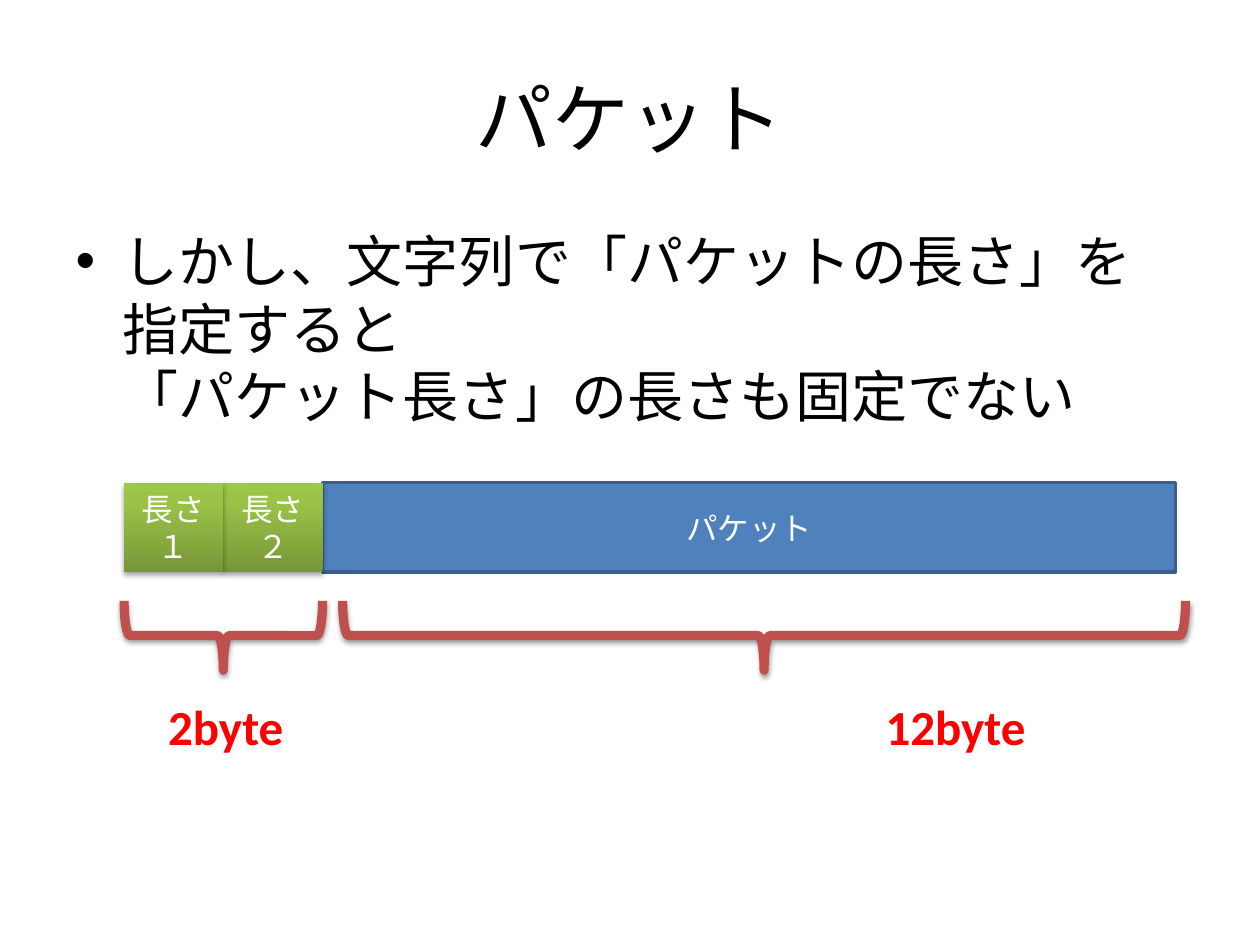
from lxml import etree
from pptx import Presentation
from pptx.dml.color import RGBColor
from pptx.enum.shapes import MSO_SHAPE
from pptx.enum.text import MSO_ANCHOR, PP_ALIGN
from pptx.oxml.ns import qn
from pptx.util import Pt

RECTANGLE = MSO_SHAPE.RECTANGLE
BRACE = MSO_SHAPE.RIGHT_BRACE
CENTER = PP_ALIGN.CENTER
LEFT = PP_ALIGN.LEFT
MIDDLE = MSO_ANCHOR.MIDDLE
TOP = MSO_ANCHOR.TOP
FONT = "Calibri"
GREEN_STOPS = [(0, "779737"), (80, "9BC348"), (100, "9DC746")]
BAR_TOP, BAR_HEIGHT = 275.8, 51.2
LENGTH_LEFT, LENGTH_WIDTH = 70.6, 56.9


def color(value):
    return RGBColor.from_string(value)


def place(shape, left, top, width, height):
    shape.left, shape.top = Pt(left), Pt(top)
    shape.width, shape.height = Pt(width), Pt(height)


def write(shape, text, size, text_color, alignment=CENTER, anchor=MIDDLE, bold=False):
    frame = shape.text_frame
    frame.text = text
    frame.word_wrap = True
    frame.vertical_anchor = anchor
    for paragraph in frame.paragraphs:
        paragraph.alignment = alignment
        for run in paragraph.runs:
            run.font.name = FONT
            run.font.size = Pt(size)
            run.font.bold = bold
            run.font.color.rgb = color(text_color)


def add_color(parent, value, alpha=100):
    element = etree.SubElement(parent, qn("a:srgbClr"), val=value)
    if alpha < 100:
        etree.SubElement(element, qn("a:alpha"), val=str(alpha * 1000))


def add_shadow(shape, alpha, distance):
    effects = shape._element.spPr.find(qn("a:effectLst"))
    shadow = etree.SubElement(
        effects, qn("a:outerShdw"), blurRad=str(Pt(3.1)), dist=str(Pt(distance)),
        dir="5400000", rotWithShape="0")
    add_color(shadow, "000000", alpha)


def set_gradient(shape, stops):
    shape.fill.gradient()
    shape.fill.gradient_angle = 90
    stop_list = shape._element.spPr.find(qn("a:gradFill")).find(qn("a:gsLst"))
    for stop in list(stop_list):
        stop_list.remove(stop)
    for position, value in stops:
        stop = etree.SubElement(stop_list, qn("a:gs"), pos=str(position * 1000))
        add_color(stop, value)


def add_box(slide, left, width, text):
    shape = slide.shapes.add_shape(
        RECTANGLE, Pt(left), Pt(BAR_TOP), Pt(width), Pt(BAR_HEIGHT))
    shape.shadow.inherit = False
    write(shape, text, 18, "FFFFFF")
    return shape


def add_packet(slide, left, width, text):
    shape = add_box(slide, left, width, text)
    shape.fill.solid()
    shape.fill.fore_color.rgb = color("4F81BD")
    shape.line.color.rgb = color("3A5F8C")
    shape.line.width = Pt(2)


def add_length(slide, left, text):
    shape = add_box(slide, left, LENGTH_WIDTH, text)
    set_gradient(shape, GREEN_STOPS)
    shape.line.fill.background()
    add_shadow(shape, 35, 1.8)


def add_brace(slide, center, span):
    depth, middle = 39.6, 363.2
    shape = slide.shapes.add_shape(
        BRACE, Pt(center - depth / 2), Pt(middle - span / 2), Pt(depth), Pt(span))
    shape.rotation = 90
    shape.shadow.inherit = False
    shape.fill.background()
    shape.line.color.rgb = color("C0504D")
    shape.line.width = Pt(5.25)
    add_shadow(shape, 38, 1.6)


def add_label(slide, center, text):
    width = 120
    box = slide.shapes.add_textbox(Pt(center - width / 2), Pt(394.6), Pt(width), Pt(41))
    write(box, text, 28, "FF0000", anchor=TOP, bold=True)


def main():
    presentation = Presentation()
    presentation.slide_width, presentation.slide_height = Pt(720), Pt(540)
    slide = presentation.slides.add_slide(presentation.slide_layouts[1])
    title, body = slide.placeholders
    place(title, 36, 21.6, 648, 90)
    write(title, "パケット", 44, "000000")
    place(body, 36, 126, 648, 356.4)
    write(body, "しかし、文字列で「パケットの長さ」を指定すると\v「パケット長さ」の長さも固定でない",
          32, "000000", LEFT, TOP)

    add_packet(slide, LENGTH_LEFT + 2 * LENGTH_WIDTH, 487.4, "パケット")
    add_length(slide, LENGTH_LEFT + LENGTH_WIDTH, "長さ\n２")
    add_length(slide, LENGTH_LEFT, "長さ１")
    for brace_center, span, label_center, text in (
        (436.6, 481.7, 546, "12byte"),
        (127.6, 113.4, 129, "2byte"),
    ):
        add_brace(slide, brace_center, span)
        add_label(slide, label_center, text)
    presentation.save("out.pptx")


main()
